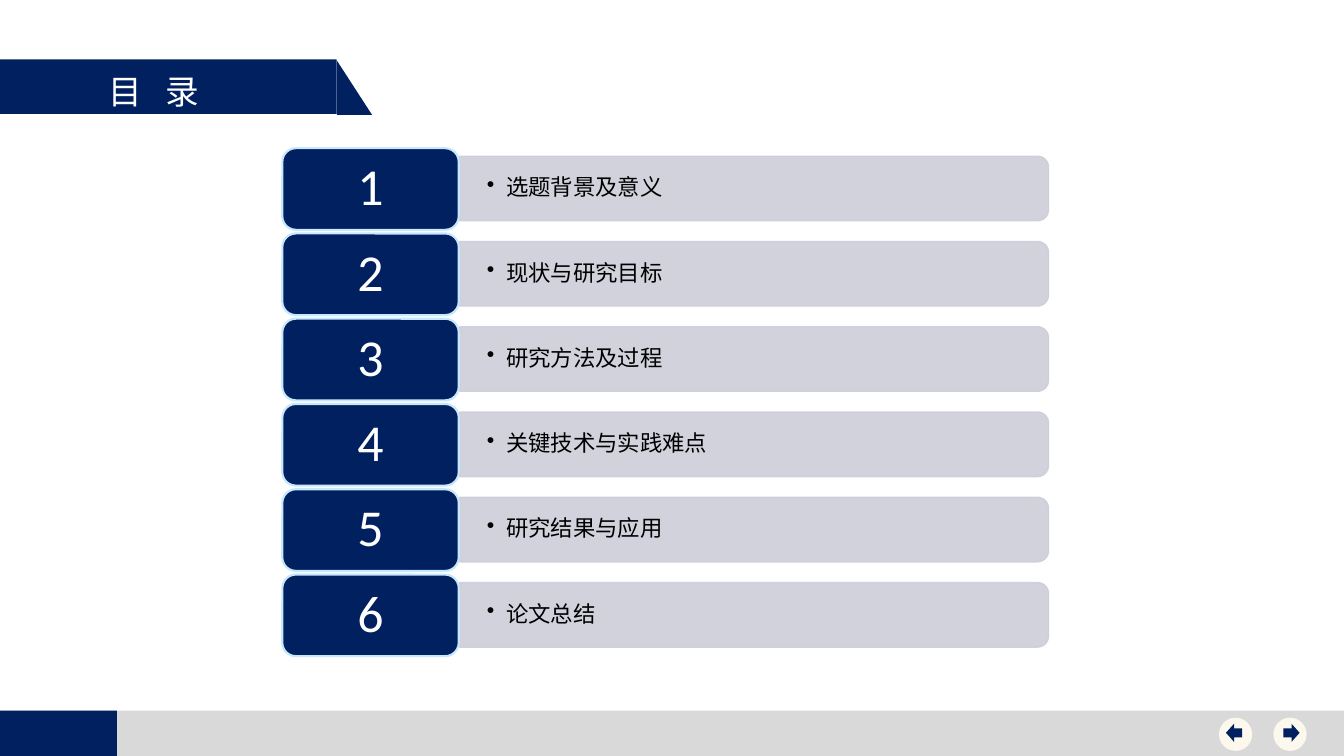
"""Build the contents slide: title banner, six numbered topics and a footer with navigation buttons."""
from math import cos, pi, sin

from lxml import etree
from pptx import Presentation
from pptx.dml.color import RGBColor
from pptx.enum.shapes import MSO_SHAPE
from pptx.enum.text import MSO_ANCHOR, PP_ALIGN
from pptx.oxml.ns import qn
from pptx.util import Inches, Pt

RECTANGLE = MSO_SHAPE.RECTANGLE
ROUNDED = MSO_SHAPE.ROUNDED_RECTANGLE
TRIANGLE = MSO_SHAPE.RIGHT_TRIANGLE
OVAL = MSO_SHAPE.OVAL
LEFT_ARROW = MSO_SHAPE.LEFT_ARROW
RIGHT_ARROW = MSO_SHAPE.RIGHT_ARROW
MIDDLE = MSO_ANCHOR.MIDDLE
LEFT, CENTER = PP_ALIGN.LEFT, PP_ALIGN.CENTER

COLORS = {
    "navy": "002060",
    "footer": "D9D9D9",
    "button": "FCF8ED",
    "bar": "CCCED9",
    "outline": "C6E7FC",
    "white": "FFFFFF",
    "black": "000000",
}
TOPICS = ["选题背景及意义", "现状与研究目标", "研究方法及过程",
          "关键技术与实践难点", "研究结果与应用", "论文总结"]

prs = Presentation()
prs.slide_width, prs.slide_height = Inches(13.33), Inches(7.5)
slide = prs.slides.add_slide(prs.slide_layouts[5])
shapes = slide.shapes


def add_block(kind, left, top, width, height, color):
    block = shapes.add_shape(kind, Inches(left), Inches(top), Inches(width), Inches(height))
    block.shadow.inherit = False
    block.fill.solid()
    block.fill.fore_color.rgb = RGBColor.from_string(COLORS[color])
    block.line.fill.background()
    return block


def write(holder, text, font, size, color, align, insets):
    frame = holder.text_frame
    frame.word_wrap = True
    frame.vertical_anchor = MIDDLE
    frame.margin_left, frame.margin_top, frame.margin_right, frame.margin_bottom = map(Inches, insets)
    paragraph = frame.paragraphs[0]
    paragraph.alignment = align
    paragraph.line_spacing = 0.9
    run = paragraph.add_run()
    run.text = text
    run.font.name = font
    run.font.size = Pt(size)
    run.font.color.rgb = RGBColor.from_string(COLORS[color])
    etree.SubElement(run.font._element, qn("a:ea"), typeface="Noto Sans CJK SC")
    return paragraph


add_block(RECTANGLE, 0, 7.05, 13.33, 0.46, "footer")
add_block(RECTANGLE, 0, 7.05, 1.16, 0.46, "navy")

add_block(RECTANGLE, 0, 0.59, 3.34, 0.54, "navy")
add_block(TRIANGLE, 3.34, 0.6, 0.35, 0.54, "navy")
title = shapes.title
title.left, title.top, title.width, title.height = map(Inches, (0.98, 0.65, 1.63, 0.5))
heading = write(title, "目 录", "Noto Sans CJK SC", 24, "white", LEFT, (0.1, 0.05, 0.1, 0.05))
heading.line_spacing = 1.0
heading.runs[0].font._element.set("spc", "540")
shapes._spTree.append(title._element)

for button_left, arrow_left, arrow in [(12.63, 12.73, RIGHT_ARROW), (12.09, 12.16, LEFT_ARROW)]:
    add_block(OVAL, button_left, 7.12, 0.33, 0.33, "button")
    add_block(arrow, arrow_left, 7.18, 0.16, 0.18, "navy")

first_top, last_top = 1.47, 5.7
row_pitch = (last_top - first_top) / (len(TOPICS) - 1)
bar_left, bar_right, bar_height, radius = 4.56, 10.4, 0.64, 0.11
quarter = [i * pi / 16 for i in range(9)]

for index, topic in enumerate(TOPICS):
    row_top = first_top + index * row_pitch
    bar_top = row_top + 0.08
    bar_bottom = bar_top + bar_height
    arc_x = bar_right - radius
    upper = [(arc_x + radius * sin(a), bar_top + radius - radius * cos(a)) for a in quarter]
    lower = [(arc_x + radius * cos(a), bar_bottom - radius + radius * sin(a)) for a in quarter]
    outline = [(Inches(x), Inches(y)) for x, y in upper + lower + [(bar_left, bar_bottom)]]
    builder = shapes.build_freeform(Inches(bar_left), Inches(bar_top))
    builder.add_line_segments(outline, close=True)
    bar = builder.convert_to_shape()
    bar.shadow.inherit = False
    bar.line.width = Pt(1)
    for paint in (bar.fill, bar.line.fill):
        paint.solid()
        paint.fore_color.rgb = RGBColor.from_string(COLORS["bar"])
    for color in bar._element.spPr.iter(qn("a:srgbClr")):
        etree.SubElement(color, qn("a:alpha"), val="90000")
    entry = write(bar, topic, "Calibri", 16, "black", LEFT, (0.27, 0.17, 0.3, 0.17))
    properties = entry._p.get_or_add_pPr()
    properties.set("marL", str(Inches(0.19)))
    properties.set("indent", str(-Inches(0.19)))
    etree.SubElement(properties, qn("a:buChar"), char="•")

    number = add_block(ROUNDED, 2.8, row_top, 1.75, 0.81, "navy")
    number.line.color.rgb = RGBColor.from_string(COLORS["outline"])
    number.line.width = Pt(1.5)
    write(number, str(index + 1), "Calibri", 37, "white", CENTER, (0.19, 0.12, 0.19, 0.12))

prs.save("out.pptx")
